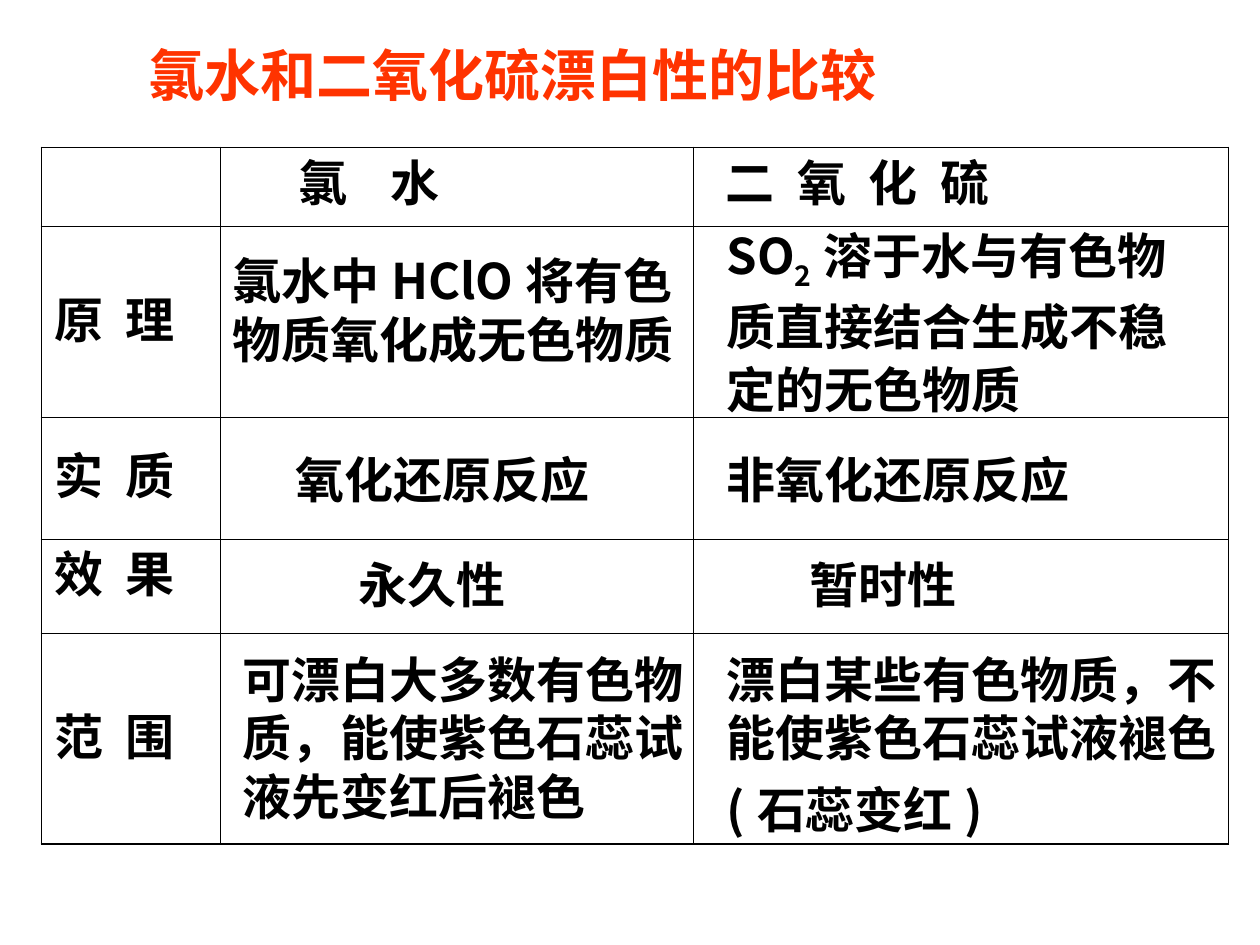
from lxml.etree import SubElement
from pptx import Presentation
from pptx.dml.color import RGBColor
from pptx.enum.text import MSO_ANCHOR
from pptx.oxml.ns import qn
from pptx.util import Inches, Pt

FONT = "Noto Sans CJK SC"
BLACK = RGBColor(0, 0, 0)
RED = RGBColor(0xFF, 0x33, 0x00)
INSETS = {"margin_left": 0.1, "margin_top": 0.07, "margin_right": 0.1, "margin_bottom": 0.05}
COLUMNS = [1.42, 3.75, 4.25]
ROWS = [0.63, 1.51, 0.97, 0.75, 1.67]
THIN, THICK = 0.45, 1.08
LABELS = [
    (0, 1, "氯水", 24.5, 0.52, MSO_ANCHOR.TOP),
    (0, 2, "二氧化硫", 13, 0.16, MSO_ANCHOR.TOP),
    (1, 0, "原理", 13, 0, MSO_ANCHOR.MIDDLE),
    (2, 0, "实质", 13, 0, MSO_ANCHOR.MIDDLE),
    (3, 0, "效果", 13, 0, MSO_ANCHOR.TOP),
    (4, 0, "范围", 13, 0, MSO_ANCHOR.MIDDLE),
]
ANSWERS = [
    (1.75, 1.92, 4, 1.04, ["氯水中HClO将有色物质氧化成无色物质"]),
    (2.25, 3.5, 3.17, 0.57, ["氧化还原反应"]),
    (2.75, 4.33, 1.66, 0.57, ["永久性"]),
    (1.83, 5.08, 3.75, 1.5, ["可漂白大多数有色物质，能使紫色石蕊试液先变红后褪色"]),
    (5.67, 3.5, 4.33, 0.57, ["非氧化还原反应"]),
    (6.33, 4.33, 1.75, 0.57, ["暂时性"]),
    (5.67, 5.08, 4.17, 1.6, ["漂白某些有色物质，不能使紫色石蕊试液褪色", "(石蕊变红)"]),
]


def set_all(target, values):
    """Set every attribute named in a dict of format values."""
    for name, value in values.items():
        setattr(target, name, value)


def set_insets(target):
    """Give a text frame or cell the common inner margins."""
    set_all(target, {name: Inches(size) for name, size in INSETS.items()})


def add_span(para, text, size=28, color=BLACK, tracking=0, baseline=0):
    """Add a bold run with optional letter spacing and baseline shift."""
    span = para.add_run()
    span.text = text
    set_all(span.font, {"name": FONT, "size": Pt(size), "bold": True})
    span.font.color.rgb = color
    properties = span.font._element
    for name, value in {"spc": int(tracking * 100), "baseline": baseline * 1000}.items():
        if value:
            properties.set(name, str(value))
    SubElement(properties, qn("a:ea")).set("typeface", FONT)


def add_text(page, left, top, width, height, lines, size=28, color=BLACK, leading=33.7):
    """Add a wrapping text box; each line is a list of (text, baseline) pairs or a string."""
    box = page.shapes.add_textbox(Inches(left), Inches(top), Inches(width), Inches(height))
    frame = box.text_frame
    frame.word_wrap = True
    set_insets(frame)
    for index, line in enumerate(lines):
        para = frame.add_paragraph() if index else frame.paragraphs[0]
        set_all(para, {"line_spacing": Pt(leading), "space_before": Pt(7 if index else 0)})
        for text, baseline in [(line, 0)] if isinstance(line, str) else line:
            add_span(para, text, size, color, baseline=baseline)


def add_borders(cell, row, column):
    """Draw thick lines on the outside of the grid and thin lines inside."""
    edges = {
        "L": column == 0,
        "R": column == len(COLUMNS) - 1,
        "T": row == 0,
        "B": row == len(ROWS) - 1,
    }
    properties = cell._tc.get_or_add_tcPr()
    for side, outer in edges.items():
        line = SubElement(properties, qn(f"a:ln{side}"))
        line.set("w", str(Pt(THICK if outer else THIN)))
        fill = SubElement(line, qn("a:solidFill"))
        SubElement(fill, qn("a:srgbClr")).set("val", str(BLACK))


def add_grid(page):
    """Add the comparison table with its row and column labels."""
    frame = page.shapes.add_table(
        len(ROWS), len(COLUMNS), Inches(0.33), Inches(1.17),
        Inches(sum(COLUMNS)), Inches(sum(ROWS)))
    table = frame.table
    set_all(table, {"first_row": False, "horz_banding": False})
    for column, width in zip(table.columns, COLUMNS):
        column.width = Inches(width)
    for row, height in enumerate(ROWS):
        table.rows[row].height = Inches(height)
        for column in range(len(COLUMNS)):
            cell = table.cell(row, column)
            add_borders(cell, row, column)
            cell.fill.background()
            set_insets(cell)
    for row, column, text, tracking, indent, anchor in LABELS:
        cell = table.cell(row, column)
        cell.vertical_anchor = anchor
        para = cell.text_frame.paragraphs[0]
        para.line_spacing = Pt(33.7)
        para._p.get_or_add_pPr().set("marL", str(Inches(indent)))
        add_span(para, text, tracking=tracking)


def main():
    """Build and save the slide."""
    deck = Presentation()
    set_all(deck, {"slide_width": Inches(10), "slide_height": Inches(7.5)})
    page = deck.slides.add_slide(deck.slide_layouts[6])
    add_grid(page)
    add_text(page, 1.08, 0.25, 7.75, 0.64, ["氯水和二氧化硫漂白性的比较"], 32, RED, 38.5)
    for answer in ANSWERS:
        add_text(page, *answer)
    principle = [("SO", 0), ("2", -25), ("溶于水与有色物质直接结合生成不稳定的无色物质", 0)]
    add_text(page, 5.67, 1.75, 4, 1.57, [principle], leading=36)
    deck.save("out.pptx")


if __name__ == "__main__":
    main()
